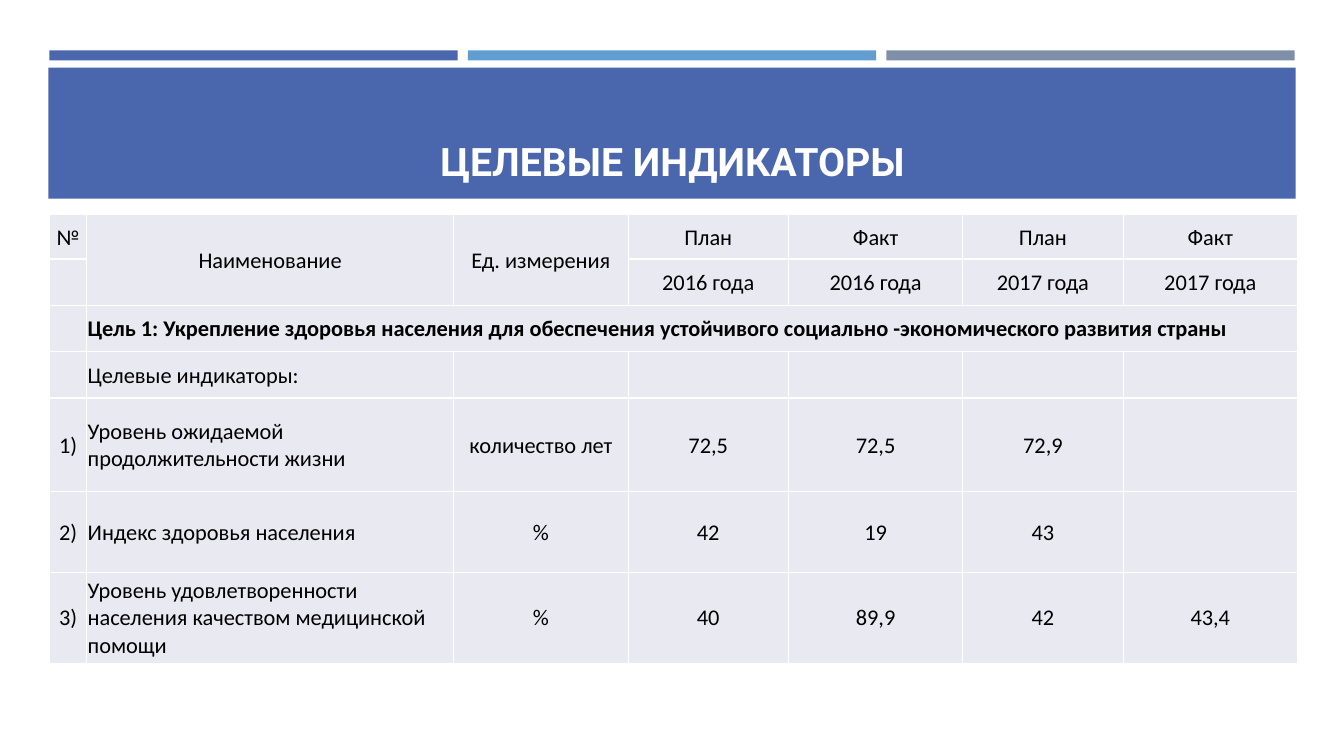
"""Build the slide with the table of target health indicators."""
from dataclasses import dataclass

from lxml.etree import SubElement
from pptx import Presentation
from pptx.dml.color import RGBColor as RGB
from pptx.enum.shapes import MSO_SHAPE as Shape
from pptx.enum.text import MSO_ANCHOR as Anchor, PP_ALIGN as Align
from pptx.oxml import parse_xml
from pptx.oxml.ns import nsdecls, qn
from pptx.util import Inches, Pt


@dataclass(frozen=True)
class Theme:
    blue: str = "4A66AC"
    sky: str = "629DD1"
    slate: str = "7F8FA9"
    cell: str = "E9EAF1"
    white: str = "FFFFFF"
    black: str = "000000"
    title_font: str = "Roboto"
    body_font: str = "Calibri"
    title_size: int = 28
    body_size: int = 16


theme = Theme()


def add_bar(s, left, top, width, height, color):
    bar = s.shapes.add_shape(Shape.RECTANGLE, Inches(left), Inches(top), Inches(width), Inches(height))
    bar.shadow.inherit = False
    bar.fill.solid()
    bar.fill.fore_color.rgb = RGB.from_string(color)
    bar.line.fill.background()


def style_paragraph(p, font, size, color, bold, align):
    p.alignment = align
    for r in p.runs:
        r.font.name = font
        r.font.size = Pt(size)
        r.font.bold = bold
        r.font.color.rgb = RGB.from_string(color)


prs = Presentation()
prs.slide_width, prs.slide_height = Inches(13.33), Inches(7.5)
s = prs.slides.add_slide(prs.slide_layouts[6])

for i, color in enumerate((theme.blue, theme.sky, theme.slate)):
    add_bar(s, 0.49 + i * 4.15, 0.5, 4.05, 0.1, color)
add_bar(s, 0.48, 0.67, 12.37, 1.3, theme.blue)

title = s.shapes.add_textbox(Inches(0.64), Inches(0.77), Inches(12.06), Inches(1.11))
tf = title.text_frame
tf.word_wrap = True
tf.vertical_anchor = Anchor.BOTTOM
tf.text = "ЦЕЛЕВЫЕ ИНДИКАТОРЫ"
style_paragraph(tf.paragraphs[0], theme.title_font, theme.title_size, theme.white, True, Align.CENTER)

col_widths = [0.37, 3.64, 1.73, 1.59, 1.73, 1.59, 1.73]
row_heights = [0.44, 0.46, 0.46, 0.46, 0.93, 0.8, 0.9]
goal_row = 2
rows = [
    ["№", "Наименование", "Ед. измерения", "План", "Факт", "План", "Факт"],
    ["", "", "", "2016 года", "2016 года", "2017 года", "2017 года"],
    ["", "Цель 1: Укрепление здоровья населения для обеспечения устойчивого "
     "социально -экономического развития страны", "", "", "", "", ""],
    ["", "Целевые индикаторы:", "", "", "", "", ""],
    ["1)", "Уровень ожидаемой продолжительности жизни", "количество лет", "72,5", "72,5", "72,9", ""],
    ["2)", "Индекс здоровья населения", "%", "42", "19", "43", ""],
    ["3)", "Уровень удовлетворенности населения качеством медицинской помощи",
     "%", "40", "89,9", "42", "43,4"],
]

frame = s.shapes.add_table(len(rows), len(col_widths), Inches(0.49), Inches(2.13),
                           Inches(sum(col_widths)), Inches(sum(row_heights)))
table = frame.table
table.first_row = False
table.horz_banding = False
for col, width in zip(table.columns, col_widths):
    col.width = Inches(width)
for row, height in zip(table.rows, row_heights):
    row.height = Inches(height)

for i, texts in enumerate(rows):
    for j, text in enumerate(texts):
        cell = table.cell(i, j)
        cell.fill.solid()
        cell.fill.fore_color.rgb = RGB.from_string(theme.cell)
        cell.margin_left = cell.margin_top = cell.margin_right = Inches(0.01)
        cell.margin_bottom = 0
        cell.vertical_anchor = Anchor.MIDDLE
        tcPr = cell._tc.get_or_add_tcPr()
        for k, side in enumerate(("lnL", "lnR", "lnT", "lnB")):
            ln = parse_xml(f'<a:{side} {nsdecls("a")} w="{Pt(1)}"/>')
            fill = SubElement(ln, qn("a:solidFill"))
            SubElement(fill, qn("a:srgbClr"), val=theme.white)
            tcPr.insert(k, ln)
        if text:
            cell.text_frame.text = text
            align = Align.LEFT if j == 1 and i >= goal_row else Align.CENTER
            style_paragraph(cell.text_frame.paragraphs[0], theme.body_font, theme.body_size,
                            theme.black, i == goal_row, align)

for j in (1, 2):
    table.cell(0, j).merge(table.cell(1, j))
table.cell(goal_row, 1).merge(table.cell(goal_row, len(col_widths) - 1))

prs.save("out.pptx")
